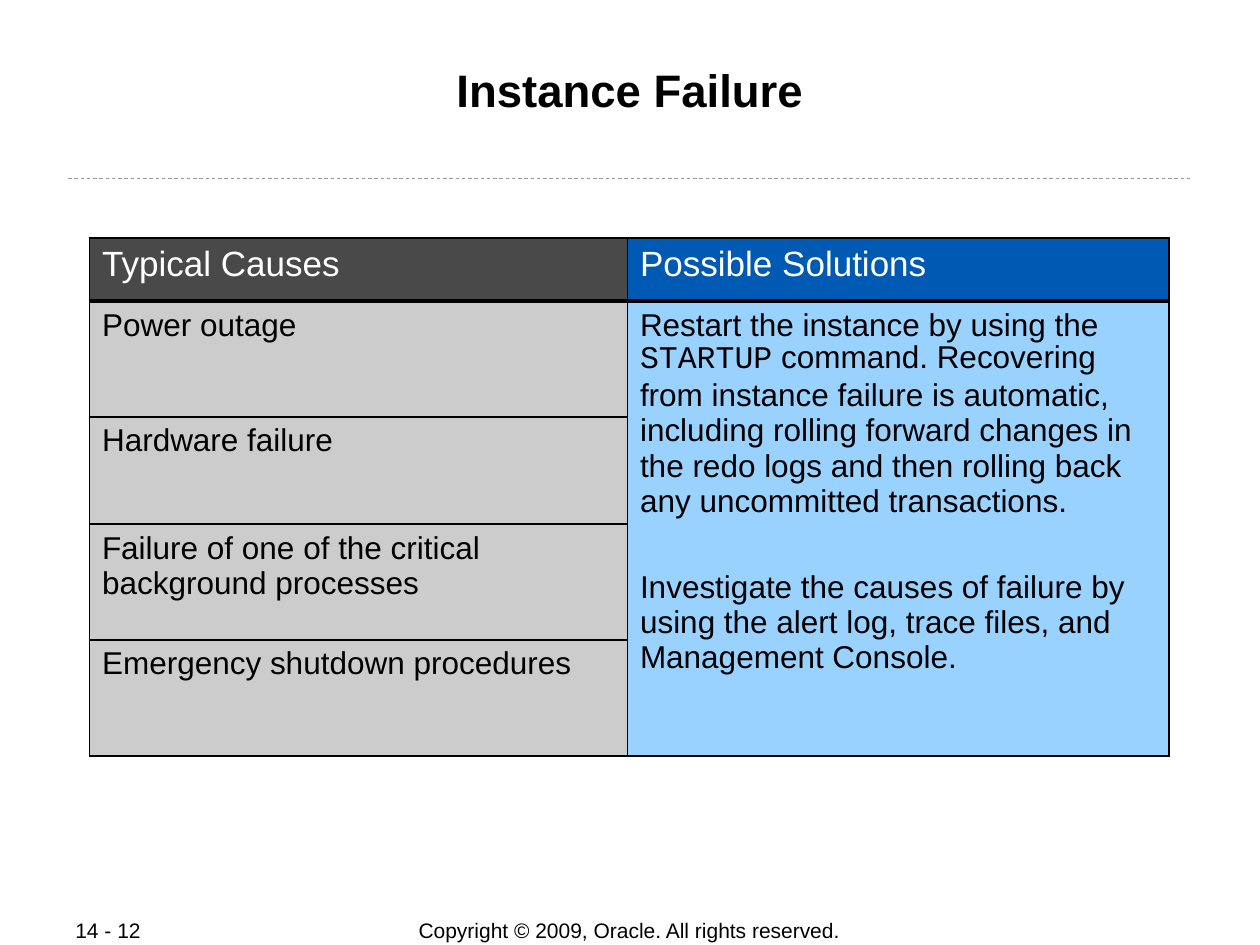
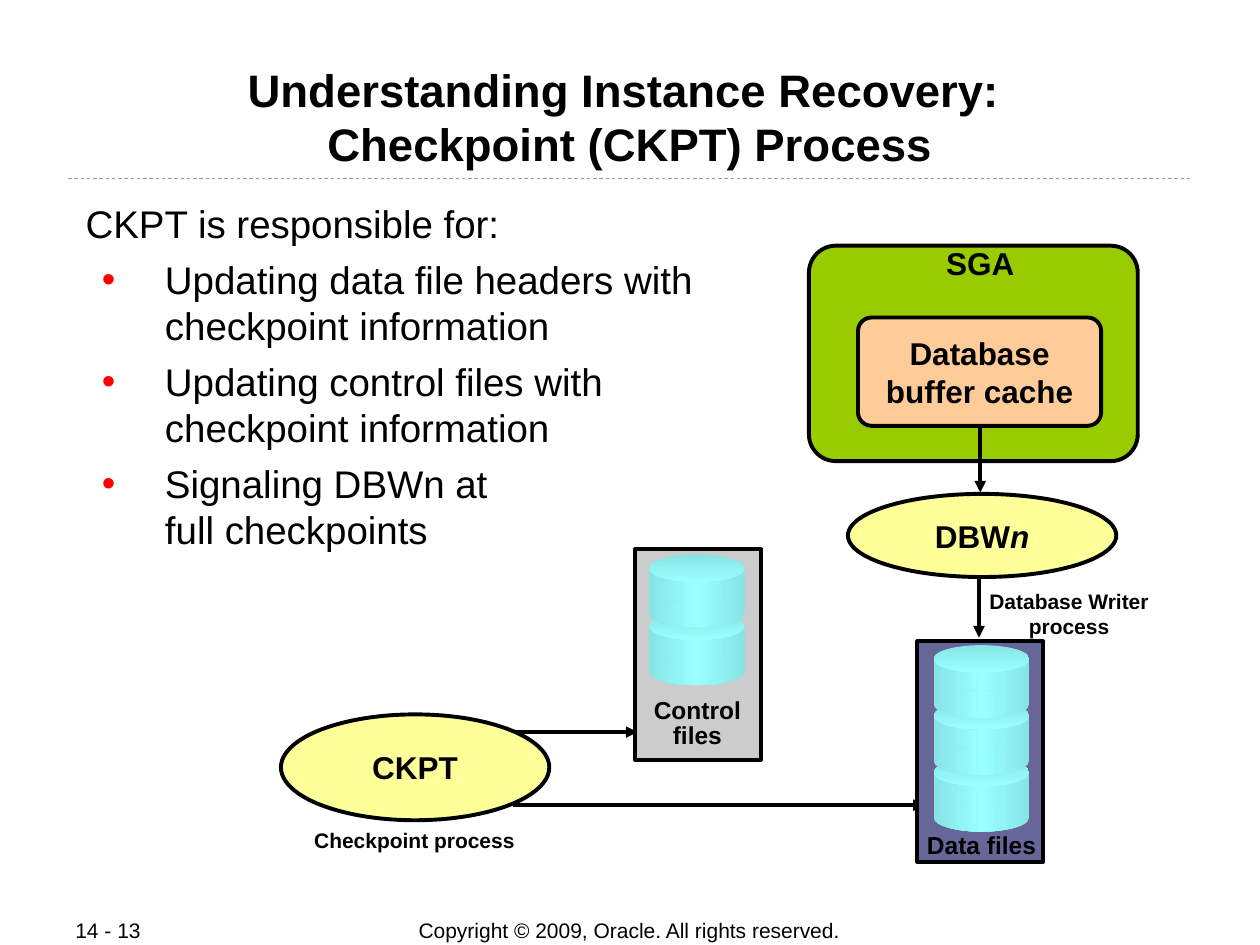
from typing import Any, NamedTuple, Optional, Union

from pptx import Presentation
from pptx.dml.color import RGBColor
from pptx.enum.dml import MSO_LINE
from pptx.enum.shapes import MSO_CONNECTOR, MSO_SHAPE
from pptx.enum.text import MSO_ANCHOR, PP_ALIGN
from pptx.oxml import parse_xml
from pptx.oxml.ns import nsdecls
from pptx.util import Emu, Pt

EMU_PER_PX = 9144  # 100 px to the inch

LEFT, CENTER = PP_ALIGN.LEFT, PP_ALIGN.CENTER
TOP, MIDDLE = MSO_ANCHOR.TOP, MSO_ANCHOR.MIDDLE
RECT, ROUNDED = MSO_SHAPE.RECTANGLE, MSO_SHAPE.ROUNDED_RECTANGLE
OVAL = MSO_SHAPE.OVAL
STRAIGHT = MSO_CONNECTOR.STRAIGHT
DASH = MSO_LINE.DASH

BLACK = RGBColor(0x00, 0x00, 0x00)
WHITE = RGBColor(0xFF, 0xFF, 0xFF)
RULE_GRAY = RGBColor(0x99, 0x99, 0x99)
RED = RGBColor(0xFF, 0x00, 0x00)
DARK_GRAY = RGBColor(0x49, 0x49, 0x49)
LIGHT_GRAY = RGBColor(0xCC, 0xCC, 0xCC)
BLUE = RGBColor(0x00, 0x5A, 0xB4)
PALE_BLUE = RGBColor(0x99, 0xD2, 0xFF)
GREEN = RGBColor(0x99, 0xCC, 0x00)
PEACH = RGBColor(0xFF, 0xCC, 0x99)
YELLOW = RGBColor(0xFF, 0xFF, 0x99)
PURPLE = RGBColor(0x66, 0x66, 0x99)
DISK_EDGE = RGBColor(0x88, 0xE4, 0xE4)
DISK_LIGHT = RGBColor(0x99, 0xFF, 0xFF)

FOOTER_FONT = {"name": "Arial", "size": Pt(12)}
TITLE_FONT = {"name": "Arial", "size": Pt(26), "bold": True}
BODY_FONT = {"name": "Arial", "size": Pt(22)}
HEAD_FONT = {"name": "Arial", "size": Pt(20)}
CELL_FONT = {"name": "Arial", "size": Pt(18)}
NODE_FONT = {"name": "Arial", "size": Pt(18), "bold": True}
FILES_FONT = {"name": "Arial", "size": Pt(14), "bold": True}
NOTE_FONT = {"name": "Arial", "size": Pt(12), "bold": True}

NORMAL_LEADING, TABLE_LEADING, TIGHT_LEADING = 1.2, 1.12, 1.02
OUTLINE = Pt(2.25)


class Box(NamedTuple):
    x: int
    y: int
    w: int
    h: int


class Span(NamedTuple):
    text: str
    fmt: dict[str, Any] = {}


class Label(NamedTuple):
    box: Box
    text: str
    font: dict[str, Any]
    leading: float = NORMAL_LEADING
    inset: tuple[int, int] = (10, 5)


class Node(NamedTuple):
    kind: Any
    box: Box
    fill: RGBColor
    paras: tuple[tuple[Span, ...], ...] = ()


class Line(NamedTuple):
    x1: int
    y1: int
    x2: int
    y2: int


class DiskStack(NamedTuple):
    x: int
    bottom_y: int
    count: int
    pitch: int


def px(n: int) -> Emu:
    return Emu(n * EMU_PER_PX)


def place(box: Box) -> list[Emu]:
    return [px(n) for n in box]


def write(p, content: Union[str, tuple[Span, ...]], font: dict[str, Any],
          color: RGBColor = BLACK, align: Any = LEFT,
          leading: float = NORMAL_LEADING, before: float = 0) -> None:
    """Fill a paragraph; a newline in a span becomes a line break."""
    p.alignment = align
    p.line_spacing = Pt(font["size"].pt * leading)
    p.space_before = Pt(before)
    for span in (Span(content),) if isinstance(content, str) else content:
        for i, piece in enumerate(span.text.split("\n")):
            if i:
                p.add_line_break()
            r = p.add_run()
            r.text = piece
            for key, value in {**font, **span.fmt}.items():
                setattr(r.font, key, value)
            r.font.color.rgb = color


def set_frame(tf, anchor: Any = TOP, inset: tuple[int, int] = (10, 5)) -> None:
    dx, dy = inset
    frame = {"word_wrap": True, "vertical_anchor": anchor,
             "margin_left": px(dx), "margin_right": px(dx),
             "margin_top": px(dy), "margin_bottom": px(dy)}
    for key, value in frame.items():
        setattr(tf, key, value)


def add_label(slide, label: Label, align: Any = CENTER, anchor: Any = TOP):
    tf = slide.shapes.add_textbox(*place(label.box)).text_frame
    set_frame(tf, anchor, label.inset)
    write(tf.paragraphs[0], label.text, label.font, align=align, leading=label.leading)
    return tf


def add_node(slide, node: Node) -> None:
    sp = slide.shapes.add_shape(node.kind, *place(node.box))
    sp.shadow.inherit = False
    if node.kind == ROUNDED:
        sp.adjustments[0] = 0.125
    sp.fill.solid()
    sp.fill.fore_color.rgb = node.fill
    sp.line.color.rgb = BLACK
    sp.line.width = OUTLINE
    tf = sp.text_frame
    set_frame(tf, MIDDLE)
    for i, para in enumerate(node.paras):
        p = tf.add_paragraph() if i else tf.paragraphs[0]
        write(p, para, NODE_FONT, align=CENTER)


def add_line(slide, line: Line, color: RGBColor = BLACK, width: Pt = OUTLINE,
             dash: Optional[Any] = None, arrow: bool = True) -> None:
    cx = slide.shapes.add_connector(STRAIGHT, *[px(n) for n in line])
    cx.line.color.rgb = color
    cx.line.width = width
    if dash is not None:
        cx.line.dash_style = dash
    if arrow:
        cx.line._get_or_add_ln().append(
            parse_xml(f'<a:tailEnd {nsdecls("a")} type="triangle"/>'))
    cx._element.spPr.append(parse_xml(f'<a:effectLst {nsdecls("a")}/>'))


def add_gradient_part(slide, kind: Any, box: Box, colors: list[RGBColor], angle: int) -> None:
    sp = slide.shapes.add_shape(kind, *place(box))
    sp.shadow.inherit = False
    sp.line.fill.background()
    step = 100000 // (len(colors) - 1)
    stops = "".join(f'<a:gs pos="{i * step}"><a:srgbClr val="{c}"/></a:gs>'
                    for i, c in enumerate(colors))
    sp._element.spPr.insert(2, parse_xml(
        f'<a:gradFill {nsdecls("a")} rotWithShape="1"><a:gsLst>{stops}</a:gsLst>'
        f'<a:lin ang="{angle * 60000}" scaled="0"/></a:gradFill>'))


def add_disks(slide, stack: DiskStack) -> None:
    """Draw a pile of cylinders from the bottom up."""
    side = [DISK_EDGE, DISK_LIGHT, DISK_EDGE]
    for i in range(stack.count):
        y = stack.bottom_y - i * stack.pitch
        add_gradient_part(slide, RECT, Box(stack.x, y, 76, 35), side, 180)
        add_gradient_part(slide, OVAL, Box(stack.x, y - 12, 76, 22), side[:2], 90)
        add_gradient_part(slide, OVAL, Box(stack.x, y + 24, 76, 22), side, 180)


def add_base(prs, title: str, number: str):
    """Add a slide with the shared rule, footer and title."""
    slide = prs.slides.add_slide(prs.slide_layouts[6])
    add_label(slide, Label(Box(275, 728, 449, 21),
                           "Copyright © 2009, Oracle. All rights reserved.", FOOTER_FONT),
              anchor=MIDDLE)
    add_line(slide, Line(54, 142, 946, 142), RULE_GRAY, Pt(0.5), DASH, arrow=False)
    add_label(slide, Label(Box(50, 728, 106, 20), number, FOOTER_FONT), LEFT, MIDDLE)
    add_label(slide, Label(Box(67, 48, 866, 96), title, TITLE_FONT, inset=(1, 1)))
    return slide


def style_cell(cell, fill: RGBColor, top: float, bottom: float) -> None:
    cell.fill.solid()
    cell.fill.fore_color.rgb = fill
    tcPr = cell._tc.get_or_add_tcPr()
    widths = {"lnL": 1.08, "lnR": 1.08, "lnT": top, "lnB": bottom}
    for i, (tag, width) in enumerate(widths.items()):
        tcPr.insert(i, parse_xml(
            f'<a:{tag} {nsdecls("a")} w="{Pt(width)}"><a:solidFill>'
            f'<a:srgbClr val="{BLACK}"/></a:solidFill></a:{tag}>'))


def add_failure_table(slide) -> None:
    headers = ("Typical Causes", "Possible Solutions")
    causes = ("Power outage", "Hardware failure",
              "Failure of one of the critical background processes",
              "Emergency shutdown procedures")
    restart = (
        Span("Restart the instance by using the "),
        Span("STARTUP", {"name": "Courier New"}),
        Span(" command. Recovering from instance failure is automatic, including rolling "
             "forward changes in the redo logs and then rolling back any uncommitted "
             "transactions."))
    investigate = ("Investigate the causes of failure by using the alert log, trace files, "
                   "and Management Console.")
    col_widths, row_heights = (427, 430), (50, 92, 85, 92, 92)
    box = Box(71, 189, sum(col_widths), sum(row_heights))
    table = slide.shapes.add_table(len(row_heights), len(col_widths), *place(box)).table
    table.first_row = table.horz_banding = False
    for col, width in zip(table.columns, col_widths):
        col.width = px(width)
    for row, height in zip(table.rows, row_heights):
        row.height = px(height)

    fills = ((DARK_GRAY, BLUE), (LIGHT_GRAY, PALE_BLUE))
    thin, thick = 1.08, 2.21
    for i in range(len(row_heights)):
        for j in range(len(col_widths)):
            style_cell(table.cell(i, j), fills[min(i, 1)][j],
                       thick if i == 1 else thin, thick if i == 0 else thin)
    for j, text in enumerate(headers):
        write(table.cell(0, j).text_frame.paragraphs[0], text, HEAD_FONT, WHITE,
              leading=TABLE_LEADING)
    for i, text in enumerate(causes, 1):
        write(table.cell(i, 0).text_frame.paragraphs[0], text, CELL_FONT,
              leading=TABLE_LEADING)
    solutions = table.cell(1, 1)
    solutions.merge(table.cell(len(causes), 1))
    tf = solutions.text_frame
    write(tf.paragraphs[0], restart, CELL_FONT, leading=TABLE_LEADING)
    write(tf.add_paragraph(), investigate, CELL_FONT, leading=TABLE_LEADING, before=29)


def add_duties(slide) -> None:
    duties = ("Updating data file headers with\ncheckpoint information",
              "Updating control files with\ncheckpoint information",
              "Signaling DBWn at \nfull checkpoints")
    tf = add_label(slide, Label(Box(67, 158, 866, 282), "CKPT is responsible for:",
                                BODY_FONT, inset=(1, 1)), LEFT)
    for duty in duties:
        p = tf.add_paragraph()
        pPr = p._p.get_or_add_pPr()
        pPr.set("marL", str(px(63)))
        pPr.set("indent", str(px(-50)))
        for xml in (f'<a:buClr {nsdecls("a")}><a:srgbClr val="{RED}"/></a:buClr>',
                    f'<a:buFont {nsdecls("a")} typeface="Arial"/>',
                    f'<a:buChar {nsdecls("a")} char="•"/>'):
            pPr.append(parse_xml(xml))
        write(p, duty, BODY_FONT, before=5.5)


def add_checkpoint_diagram(slide) -> None:
    """Draw the diagram from back to front."""
    parts = (
        Line(407, 581, 506, 581),
        Line(407, 639, 734, 639),
        Node(ROUNDED, Box(642, 195, 261, 171), GREEN),
        Label(Box(731, 195, 94, 32), "SGA", NODE_FONT, TIGHT_LEADING, (6, 3)),
        Node(ROUNDED, Box(681, 252, 193, 86), PEACH,
             ((Span("Database"),), (Span("buffer cache"),))),
        Line(778, 337, 778, 391),
        Label(Box(227, 652, 204, 30), "Checkpoint process", NOTE_FONT),
        Node(OVAL, Box(223, 567, 213, 84), YELLOW, ((Span("CKPT"),),)),
        Node(RECT, Box(728, 509, 100, 175), PURPLE),
        DiskStack(741, 614, 3, 45),
        Label(Box(715, 656, 128, 32), "Data files", FILES_FONT, TIGHT_LEADING, (11, 6)),
        Node(RECT, Box(504, 436, 100, 167), LIGHT_GRAY),
        Label(Box(498, 549, 111, 51), "Control files", FILES_FONT, TIGHT_LEADING, (11, 6)),
        DiskStack(515, 498, 2, 46),
        Label(Box(766, 462, 165, 50), "Database Writer\nprocess", NOTE_FONT),
        Node(OVAL, Box(673, 392, 213, 66), YELLOW,
             ((Span("DBW"), Span("n", {"italic": True})),)),
        Line(777, 457, 777, 506),
    )
    draw = {Line: add_line, Node: add_node, Label: add_label, DiskStack: add_disks}
    for part in parts:
        draw[type(part)](slide, part)


def main() -> None:
    prs = Presentation()
    prs.slide_width, prs.slide_height = px(1000), px(750)
    add_failure_table(add_base(prs, "Instance Failure", "14 - 12"))
    slide = add_base(
        prs, "Understanding Instance Recovery: \nCheckpoint (CKPT) Process", "14 - 13")
    add_duties(slide)
    add_checkpoint_diagram(slide)
    prs.save("out.pptx")


if __name__ == "__main__":
    main()
